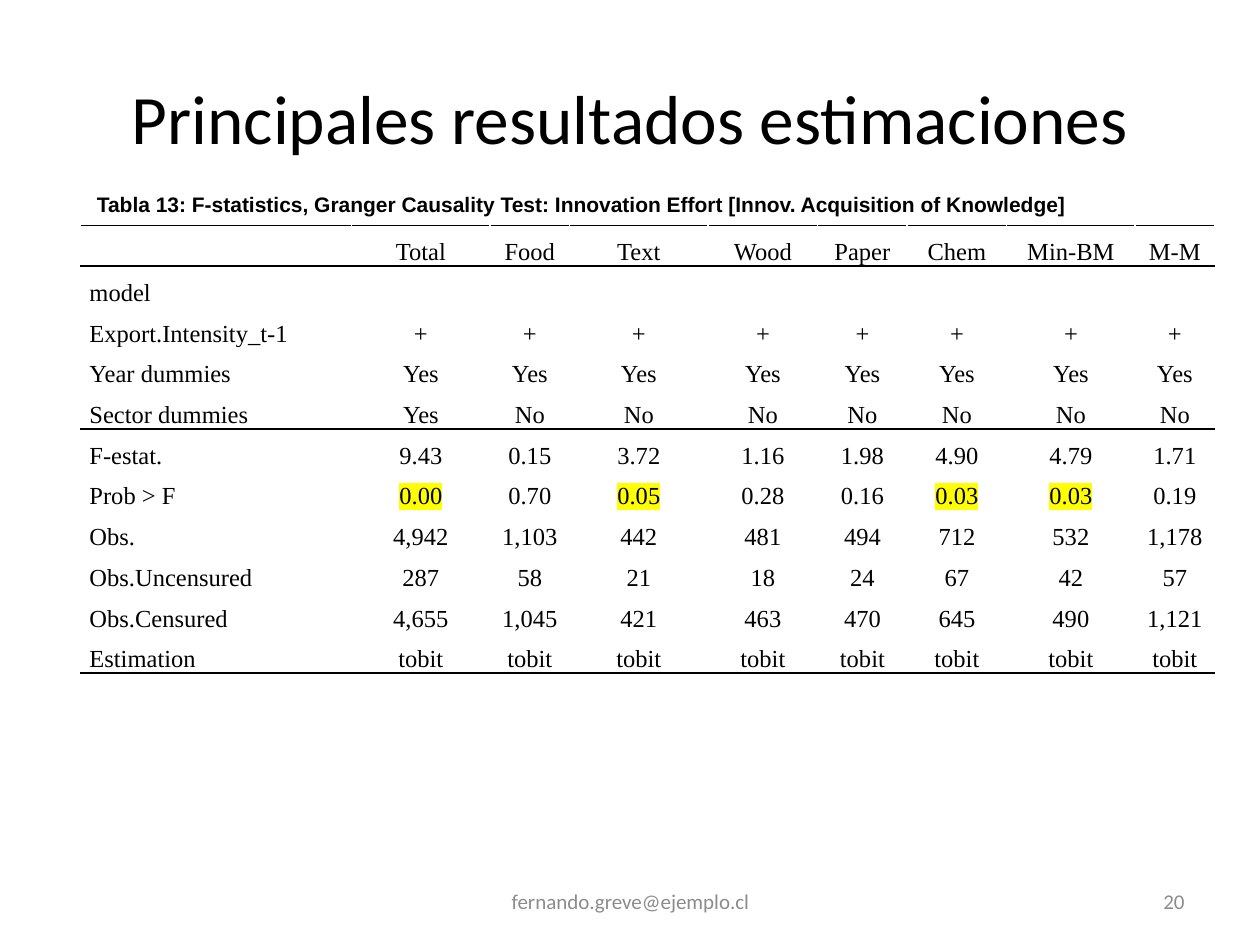
import dataclasses

import lxml.etree
import pptx
import pptx.dml.color
import pptx.enum.text
import pptx.oxml.ns
import pptx.util

RGBColor = pptx.dml.color.RGBColor
Align = pptx.enum.text.PP_ALIGN
AutoSize = pptx.enum.text.MSO_AUTO_SIZE
qn = pptx.oxml.ns.qn

BLACK = RGBColor(0x00, 0x00, 0x00)
GRAY = RGBColor(0x8C, 0x8C, 0x8C)
YELLOW = RGBColor(0xFF, 0xFF, 0x00)

SLIDE_WIDTH = pptx.util.Inches(10)
SLIDE_HEIGHT = pptx.util.Inches(7.5)
GRID_COLUMNS, GRID_ROWS = 100, 75

COLUMN_SPANS = (21.5, 11, 6.3, 11, 8.7, 7.1, 7.9, 10.2, 6.3)
ROW_SPAN = 3.2
RESULTS = (
    ("", "Total", "Food", "Text", "Wood", "Paper", "Chem", "Min-BM", "M-M"),
    ("model",) + ("",) * 8,
    ("Export.Intensity_t-1",) + ("+",) * 8,
    ("Year dummies",) + ("Yes",) * 8,
    ("Sector dummies", "Yes") + ("No",) * 7,
    ("F-estat.", "9.43", "0.15", "3.72", "1.16", "1.98", "4.90", "4.79", "1.71"),
    ("Prob > F", "0.00", "0.70", "0.05", "0.28", "0.16", "0.03", "0.03", "0.19"),
    ("Obs.", "4,942", "1,103", "442", "481", "494", "712", "532", "1,178"),
    ("Obs.Uncensured", "287", "58", "21", "18", "24", "67", "42", "57"),
    ("Obs.Censured", "4,655", "1,045", "421", "463", "470", "645", "490", "1,121"),
    ("Estimation",) + ("tobit",) * 8,
)
RULES_ABOVE = {0, 1, 5, len(RESULTS)}
PROBABILITY_ROW = 6
SIGNIFICANCE = 0.05


@dataclasses.dataclass(frozen=True)
class Label:
    text: str
    column: float
    row: float
    columns: float
    rows: float
    size: float
    align: Align
    font: str = "Calibri"
    color: RGBColor = BLACK
    bold: bool = False
    fitted: bool = False


LABELS = (
    Label("Principales resultados estimaciones", 5, 3, 90, 12.5, 39.6, Align.CENTER),
    Label("Tabla 13: F-statistics, Granger Causality Test: "
          "Innovation Effort [Innov. Acquisition of Knowledge]",
          6.7, 14.7, 79.9, 3, 12, Align.JUSTIFY, "Arial", bold=True, fitted=True),
    Label("20", 71.7, 69.5, 23.3, 4, 12, Align.RIGHT, color=GRAY),
    Label("fernando.greve@ejemplo.cl", 34.2, 69.5, 31.7, 4, 12, Align.CENTER, color=GRAY),
)


def across(columns: float) -> int:
    return round(SLIDE_WIDTH * columns / GRID_COLUMNS)


def down(rows: float) -> int:
    return round(SLIDE_HEIGHT * rows / GRID_ROWS)


def style_run(run, font: str, size: float, color: RGBColor, bold: bool = False) -> None:
    run.font.name = font
    run.font.size = pptx.util.Pt(size)
    run.font.bold = bold
    run.font.color.rgb = color


def add_label(slide, label: Label) -> None:
    box = slide.shapes.add_textbox(across(label.column), down(label.row),
                                   across(label.columns), down(label.rows))
    frame = box.text_frame
    frame.word_wrap = not label.fitted
    frame.auto_size = AutoSize.SHAPE_TO_FIT_TEXT if label.fitted else AutoSize.NONE
    frame.vertical_anchor = pptx.enum.text.MSO_ANCHOR.MIDDLE
    frame.text = label.text
    paragraph = frame.paragraphs[0]
    paragraph.alignment = label.align
    style_run(paragraph.runs[0], label.font, label.size, label.color, label.bold)


def add_border(cell, edge: str) -> None:
    properties = cell._tc.get_or_add_tcPr()
    line = lxml.etree.SubElement(properties, qn(f"a:{edge}"), w=str(pptx.util.Pt(1)))
    fill = lxml.etree.SubElement(line, qn("a:solidFill"))
    lxml.etree.SubElement(fill, qn("a:srgbClr"), val=str(BLACK))


def highlight(run) -> None:
    latin = run._r.get_or_add_rPr().find(qn("a:latin"))
    marker = latin.makeelement(qn("a:highlight"), {})
    lxml.etree.SubElement(marker, qn("a:srgbClr"), val=str(YELLOW))
    latin.addprevious(marker)


def fill_cell(cell, text: str, row: int, column: int) -> None:
    cell.margin_left = cell.margin_right = pptx.util.Inches(0.07)
    cell.margin_top = cell.margin_bottom = 0
    if row in RULES_ABOVE:
        add_border(cell, "lnT")
    if row + 1 in RULES_ABOVE:
        add_border(cell, "lnB")
    cell.fill.background()
    if not text:
        return
    cell.text_frame.text = text
    paragraph = cell.text_frame.paragraphs[0]
    paragraph.alignment = Align.CENTER if column else Align.JUSTIFY
    paragraph.line_spacing = 1.5
    run = paragraph.runs[0]
    style_run(run, "Times New Roman", 14, BLACK)
    if row == PROBABILITY_ROW and column and float(text) <= SIGNIFICANCE:
        highlight(run)


def add_results(slide) -> None:
    table = slide.shapes.add_table(
        len(RESULTS), len(COLUMN_SPANS), across(6.4), down(17.9),
        across(sum(COLUMN_SPANS)), down(ROW_SPAN * len(RESULTS))).table
    table.first_row = table.horz_banding = False
    for column, span in zip(table.columns, COLUMN_SPANS):
        column.width = across(span)
    for row, values in enumerate(RESULTS):
        table.rows[row].height = down(ROW_SPAN)
        for column, text in enumerate(values):
            fill_cell(table.cell(row, column), text, row, column)


def main() -> None:
    presentation = pptx.Presentation()
    presentation.slide_width = SLIDE_WIDTH
    presentation.slide_height = SLIDE_HEIGHT
    slide = presentation.slides.add_slide(presentation.slide_layouts[6])
    add_results(slide)
    for label in LABELS:
        add_label(slide, label)
    presentation.save("out.pptx")


if __name__ == "__main__":
    main()
